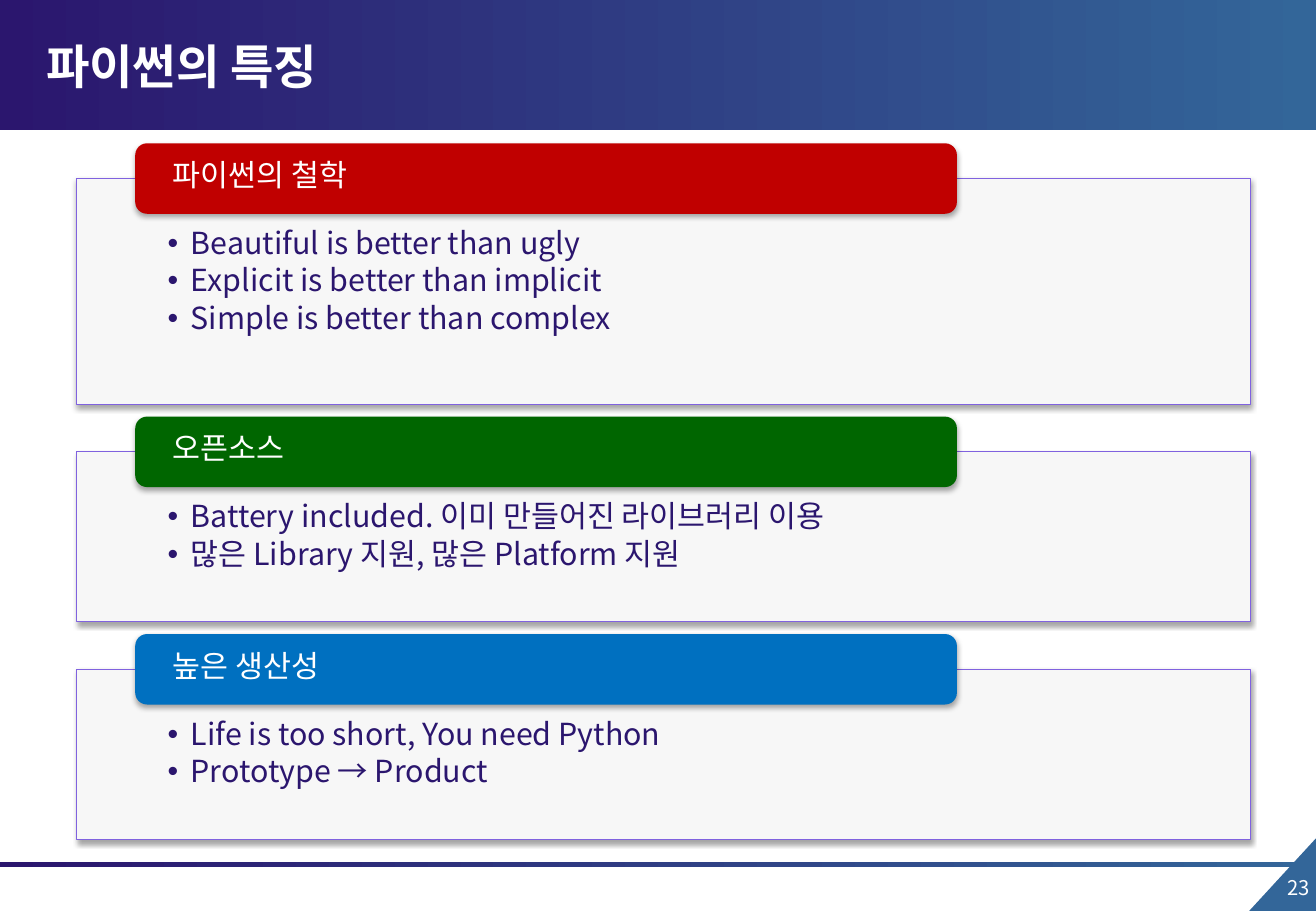
import pptx
import pptx.util
import pptx.dml.color
import pptx.enum.shapes
import pptx.enum.text
import pptx.oxml.ns
from lxml import etree

Inches = pptx.util.Inches
Pt = pptx.util.Pt
RGBColor = pptx.dml.color.RGBColor
Shape = pptx.enum.shapes.MSO_SHAPE
Anchor = pptx.enum.text.MSO_ANCHOR
Align = pptx.enum.text.PP_ALIGN
qn = pptx.oxml.ns.qn

WIDTH, HEIGHT = 10.83, 7.5
FONT = "Noto Sans CJK KR"
WHITE = RGBColor(0xFF, 0xFF, 0xFF)
NAVY = RGBColor(0x2B, 0x16, 0x6E)
STEEL = RGBColor(0x33, 0x66, 0x99)
VIOLET = RGBColor(0x80, 0x62, 0xDF)
PANEL = RGBColor(0xF7, 0xF7, 0xF7)
RED = RGBColor(0xC0, 0x00, 0x00)
GREEN = RGBColor(0x00, 0x66, 0x00)
BLUE = RGBColor(0x00, 0x70, 0xC0)

PANEL_GAP = 0.39
TAB_HEIGHT = 0.58
SECTIONS = [
    ("파이썬의 철학", RED, [
        "Beautiful is better than ugly",
        "Explicit is better than implicit",
        "Simple is better than complex",
    ]),
    ("오픈소스", GREEN, [
        "Battery included. 이미 만들어진 라이브러리 이용",
        "많은 Library 지원, 많은 Platform 지원",
    ]),
    ("높은 생산성", BLUE, [
        "Life is too short, You need Python",
        "Prototype → Product",
    ]),
]


def place(shape, left, top, width, height):
    shape.left, shape.top = Inches(left), Inches(top)
    shape.width, shape.height = Inches(width), Inches(height)


def add_bullet(para):
    props = para._p.get_or_add_pPr()
    props.set("marL", str(Inches(0.19)))
    props.set("indent", str(Inches(-0.19)))
    etree.SubElement(props, qn("a:buFont")).set("typeface", "Arial")
    etree.SubElement(props, qn("a:buChar")).set("char", "•")


def write(shape, lines, size=18, color=WHITE, bold=False, align=Align.LEFT,
          anchor=Anchor.MIDDLE, insets=(0.1, 0.05, 0.1, 0.05),
          line_spacing=0.9, space_after=0, bullets=False):
    frame = shape.text_frame
    frame.word_wrap = True
    frame.auto_size = pptx.enum.text.MSO_AUTO_SIZE.NONE
    frame.vertical_anchor = anchor
    (frame.margin_left, frame.margin_top,
     frame.margin_right, frame.margin_bottom) = map(Inches, insets)
    for number, line in enumerate(lines):
        para = frame.add_paragraph() if number else frame.paragraphs[0]
        if bullets:
            add_bullet(para)
        para.alignment = align
        para.line_spacing = line_spacing
        para.space_before = Pt(0)
        para.space_after = Pt(space_after)
        span = para.add_run()
        span.text = line
        span.font.name = FONT
        span.font.size = Pt(size)
        span.font.bold = bold
        span.font.color.rgb = color
        east_asian = etree.SubElement(span._r.get_or_add_rPr(), qn("a:ea"))
        east_asian.set("typeface", FONT)


def add_shadow(shape):
    shape.shadow.inherit = False
    effects = shape._element.spPr.find(qn("a:effectLst"))
    shadow = etree.SubElement(effects, qn("a:outerShdw"), {
        "blurRad": str(Pt(3.1)), "dist": str(Pt(1.8)),
        "dir": "5400000", "algn": "t", "rotWithShape": "0"})
    color = etree.SubElement(shadow, qn("a:srgbClr"), val="000000")
    etree.SubElement(color, qn("a:alpha"), val="35000")


def add_plain(page, kind, box, color=None):
    shape = page.shapes.add_shape(kind, *map(Inches, box))
    shape.shadow.inherit = False
    shape.line.fill.background()
    if color is None:
        shape.fill.gradient()
        shape.fill.gradient_angle = 0
        for stop, shade, position in zip(
                shape.fill.gradient_stops, (NAVY, STEEL), (0, 1)):
            stop.color.rgb = shade
            stop.position = position
    else:
        shape.fill.solid()
        shape.fill.fore_color.rgb = color
    return shape


def build_header(page, left, top, width, height):
    band = add_plain(page, Shape.RECTANGLE, (left, top, width, height))
    band._element.getparent().insert(2, band._element)
    title = page.shapes.title
    place(title, left + 0.28, top + 0.23, width * 0.75, 0.62)
    write(title, ["파이썬의 특징"], size=28, bold=True, line_spacing=1)


def build_footer(page, left, top, width, height):
    add_plain(page, Shape.RECTANGLE, (left, top + 0.19, width, 0.04))
    corner = add_plain(page, Shape.RIGHT_TRIANGLE,
                       (left + width - 0.58, top, 0.62, 0.57), STEEL)
    corner.rotation = 270
    number = page.shapes.add_textbox(
        *map(Inches, (left + width - 0.56, top + 0.25, 0.61, 0.41)))
    write(number, ["23"], size=12, align=Align.RIGHT, anchor=Anchor.TOP,
          line_spacing=1)


def build_section(page, panel, section, left, top, width, height):
    heading, color, points = section
    place(panel, left, top, width, height)
    panel.fill.solid()
    panel.fill.fore_color.rgb = PANEL
    panel.line.color.rgb = VIOLET
    panel.line.width = Pt(0.75)
    add_shadow(panel)
    write(panel, points, color=NAVY, anchor=Anchor.TOP, bullets=True,
          insets=(0.75, 0.41, 0.75, 0.14), space_after=2.7)
    tab = add_plain(page, Shape.ROUNDED_RECTANGLE,
                    (left + width * 0.05, top - TAB_HEIGHT / 2,
                     width * 0.7, TAB_HEIGHT), color)
    add_shadow(tab)
    write(tab, [heading], insets=(0.28, 0, 0.28, 0.03))


def main():
    deck = pptx.Presentation()
    deck.slide_width, deck.slide_height = Inches(WIDTH), Inches(HEIGHT)
    page = deck.slides.add_slide(deck.slide_layouts.get_by_name("Comparison"))
    build_header(page, 0, 0, WIDTH, 1.07)
    build_footer(page, 0, 6.91, WIDTH, HEIGHT - 6.91)
    title, *panels = list(page.placeholders)
    top = 1.47
    for panel, section in zip(panels, SECTIONS):
        height = 0.48 + 0.46 * len(section[2])
        build_section(page, panel, section, 0.63, top, 9.66, height)
        top += height + PANEL_GAP
    for spare in panels[len(SECTIONS):]:
        spare._element.getparent().remove(spare._element)
    deck.save("out.pptx")


if __name__ == "__main__":
    main()
